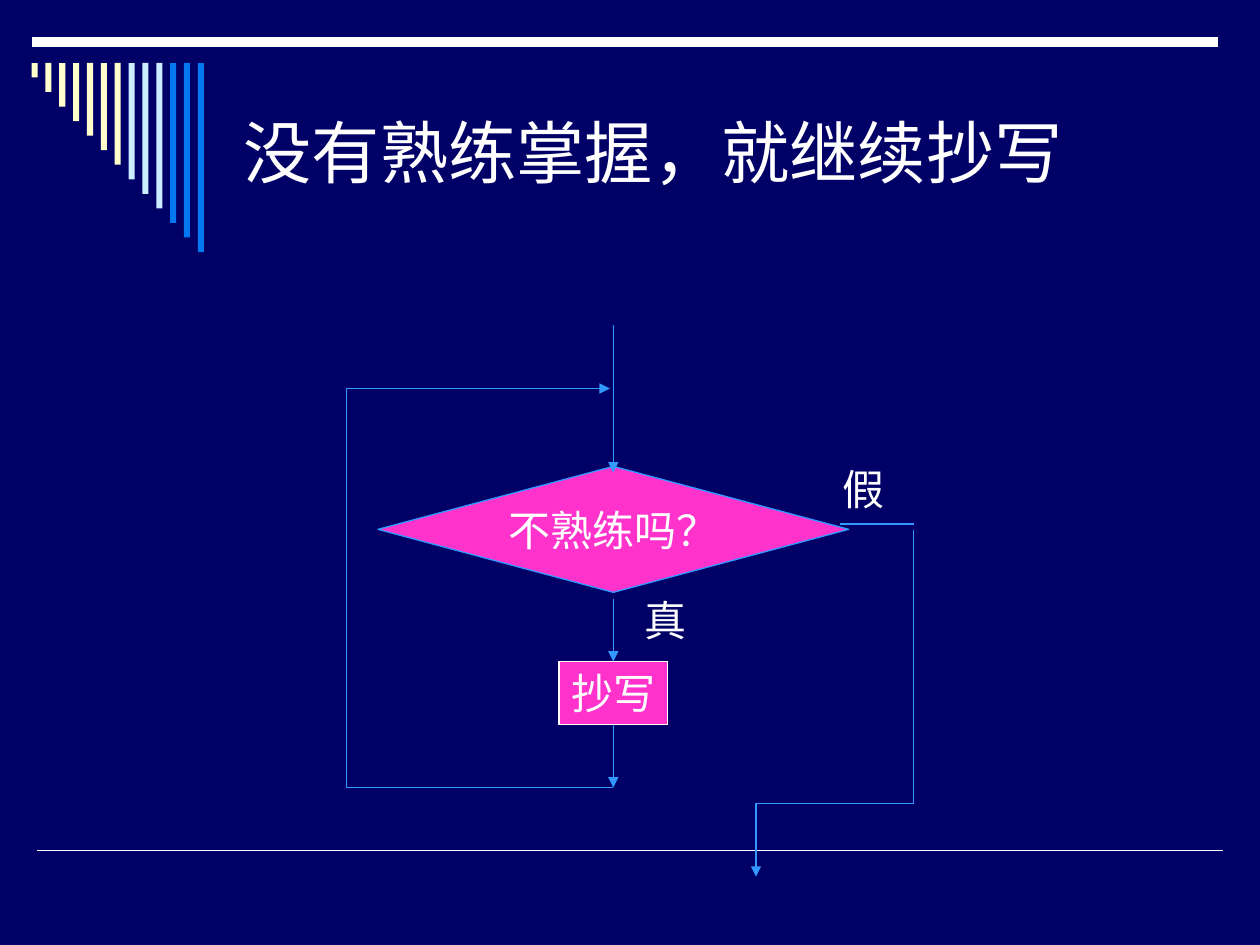
from dataclasses import dataclass

from lxml.etree import SubElement
from pptx import Presentation
from pptx.dml.color import RGBColor
from pptx.enum.shapes import MSO_CONNECTOR, MSO_SHAPE
from pptx.enum.text import MSO_ANCHOR, PP_ALIGN
from pptx.oxml.ns import qn
from pptx.util import Pt


@dataclass(frozen=True)
class Theme:
    background: str = "000066"
    text: str = "FFFFFF"
    node: str = "FF33CC"
    flow: str = "3399FF"
    cream: str = "FFFFCC"
    pale: str = "CCECFF"
    blue: str = "0078F0"
    font: str = "Arial"
    title_size: float = 39
    label_size: float = 24
    thin: float = 0.75


THEME = Theme()


def color(value):
    return RGBColor.from_string(value)


def style_text(para, size):
    para.font.name = THEME.font
    para.font.size = Pt(size)
    para.font.color.rgb = color(THEME.text)


def write_label(shape, text):
    frame = shape.text_frame
    frame.word_wrap = False
    frame.vertical_anchor = MSO_ANCHOR.MIDDLE
    para = frame.paragraphs[0]
    para.text = text
    para.alignment = PP_ALIGN.CENTER
    style_text(para, THEME.label_size)


def add_block(slide, kind, left, top, width, height, fill, line=None):
    block = slide.shapes.add_shape(kind, Pt(left), Pt(top), Pt(width), Pt(height))
    block.shadow.inherit = False
    block.fill.solid()
    block.fill.fore_color.rgb = color(fill)
    if line:
        block.line.color.rgb = color(line)
        block.line.width = Pt(THEME.thin)
    else:
        block.line.fill.background()
    return block


def add_label(slide, text, left, top):
    box = slide.shapes.add_textbox(Pt(left), Pt(top), Pt(38), Pt(36))
    write_label(box, text)


def add_line(slide, start, end, line=THEME.flow, width=THEME.thin, arrow=False):
    connector = slide.shapes.add_connector(
        MSO_CONNECTOR.STRAIGHT, *(Pt(value) for value in (*start, *end)))
    connector.line.color.rgb = color(line)
    connector.line.width = Pt(width)
    if arrow:
        SubElement(connector.line._get_or_add_ln(), qn("a:tailEnd"), type="triangle")
    SubElement(connector._element.spPr, qn("a:effectLst"))
    return connector


def add_decoration(slide):
    add_line(slide, (21, 486), (699, 486), THEME.text, 1)
    add_line(slide, (18, 24), (696, 24), THEME.text, 6)
    # Bars that grow by one step each
    fills = [THEME.cream] * 7 + [THEME.pale] * 3 + [THEME.blue] * 3
    for index, fill in enumerate(fills):
        add_block(slide, MSO_SHAPE.RECTANGLE, 18 + 7.92 * index, 36,
                  3.5, 8.31 * (index + 1), fill)


def add_title(slide, text):
    title = slide.shapes.title
    title.left, title.top, title.width, title.height = Pt(132), Pt(36), Pt(558), Pt(101)
    title.text_frame.vertical_anchor = MSO_ANCHOR.MIDDLE
    para = title.text_frame.paragraphs[0]
    para.text = text
    para.alignment = PP_ALIGN.LEFT
    style_text(para, THEME.title_size)


def add_flowchart(slide):
    center, loop_left, exit_right, exit_left = 350.5, 198, 522, 432
    loop_top, loop_bottom, exit_bottom = 222, 450, 459

    # Test and repeated step
    test = add_block(slide, MSO_SHAPE.FLOWCHART_DECISION, center - 134.5, 266.5,
                     269, 72, THEME.node, THEME.flow)
    write_label(test, "不熟练吗？")
    step = add_block(slide, MSO_SHAPE.RECTANGLE, center - 31, 378,
                     62, 36, THEME.node, THEME.text)
    write_label(step, "抄写")
    add_label(slide, "真", 361, 336)
    add_label(slide, "假", 474.5, 261)

    # Way in and true branch
    add_line(slide, (center, 186), (center, 270), arrow=True)
    true_branch = add_line(slide, (center, 342), (center, 378), arrow=True)
    true_branch.end_connect(step, 0)
    step_exit = add_line(slide, (center, 414), (center, loop_bottom), arrow=True)
    step_exit.begin_connect(step, 2)

    # Loop back to the test
    add_line(slide, (loop_left, loop_bottom), (center, loop_bottom))
    add_line(slide, (loop_left, loop_top), (loop_left, loop_bottom))
    add_line(slide, (loop_left, loop_top), (348.5, loop_top), arrow=True)

    # False branch
    add_line(slide, (480, 299.5), (exit_right + 0.5, 299.5))
    add_line(slide, (exit_right, 303), (exit_right, exit_bottom))
    add_line(slide, (exit_left, exit_bottom), (exit_right, exit_bottom))
    add_line(slide, (exit_left, exit_bottom), (exit_left, 501), arrow=True)


def main():
    deck = Presentation()
    deck.slide_width, deck.slide_height = Pt(720), Pt(540)
    page = deck.slides.add_slide(deck.slide_layouts[5])
    page.background.fill.solid()
    page.background.fill.fore_color.rgb = color(THEME.background)
    add_decoration(page)
    add_title(page, "没有熟练掌握，就继续抄写")
    add_flowchart(page)
    deck.save("out.pptx")


if __name__ == "__main__":
    main()
